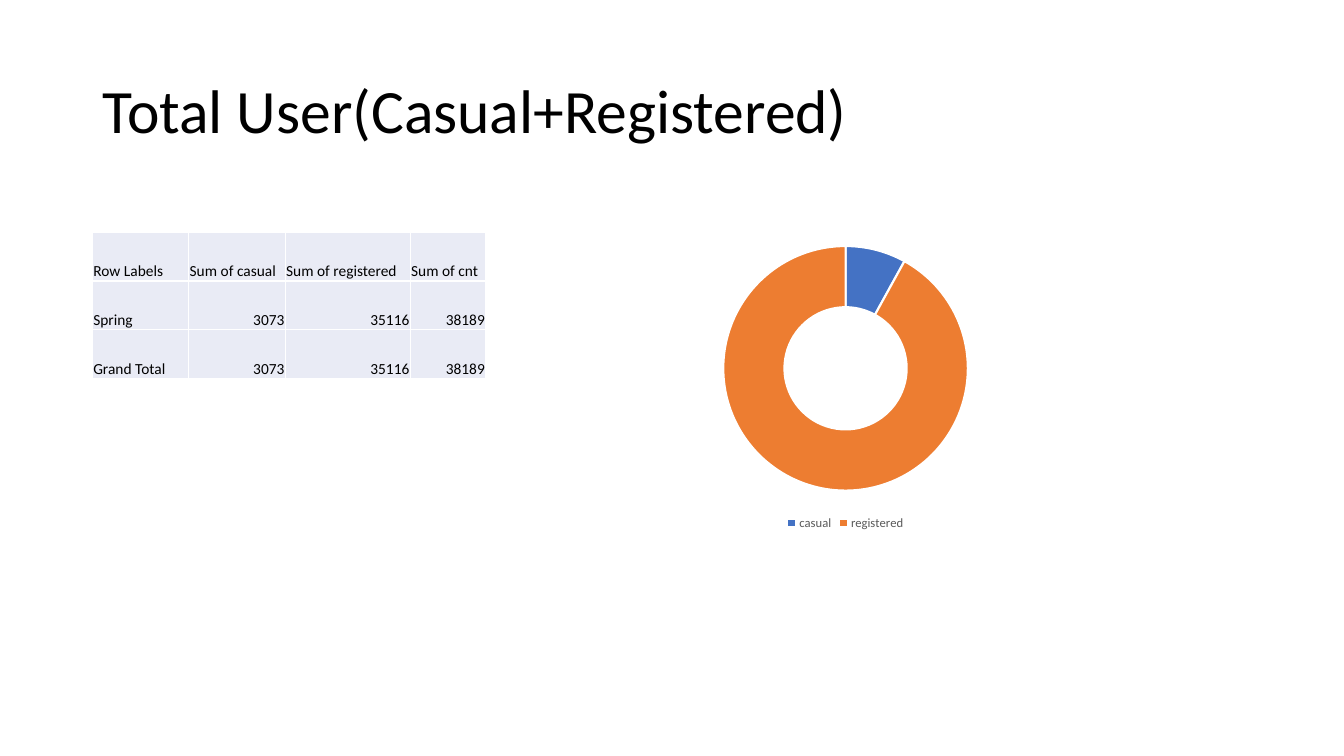
from dataclasses import dataclass

from lxml.etree import SubElement
from pptx import Presentation
from pptx.chart.data import CategoryChartData
from pptx.dml.color import RGBColor
from pptx.enum.chart import XL_CHART_TYPE, XL_LEGEND_POSITION
from pptx.enum.text import MSO_ANCHOR, PP_ALIGN
from pptx.oxml.ns import qn
from pptx.slide import Slide
from pptx.table import _Cell
from pptx.util import Cm, Pt

BLACK = RGBColor(0x00, 0x00, 0x00)
WHITE = RGBColor(0xFF, 0xFF, 0xFF)
GRAY = RGBColor(0x59, 0x59, 0x59)
PALE = RGBColor(0xE9, 0xEB, 0xF5)
BLUE = RGBColor(0x44, 0x72, 0xC4)
ORANGE = RGBColor(0xED, 0x7D, 0x31)
FONT = "Calibri"


@dataclass
class Slice:
    name: str
    share: int
    color: RGBColor


@dataclass
class Column:
    head: str
    width: float
    cells: tuple[str, ...]
    align: PP_ALIGN = PP_ALIGN.RIGHT


SLICES = [Slice("casual", 8, BLUE), Slice("registered", 92, ORANGE)]
COLUMNS = [
    Column("Row Labels", 2.43, ("Spring", "Grand Total"), PP_ALIGN.LEFT),
    Column("Sum of casual", 2.43, ("3073", "3073")),
    Column("Sum of registered", 3.15, ("35116", "35116")),
    Column("Sum of cnt", 1.9, ("38189", "38189")),
]


def set_font(font, size: float, color: RGBColor) -> None:
    font.name, font.size, font.bold = FONT, Pt(size), False
    font.color.rgb = color


def add_title(slide: Slide, text: str) -> None:
    title = slide.shapes.title
    title.left, title.top = Cm(2.33), Cm(1.01)
    title.width, title.height = Cm(29.21), Cm(3.68)
    title.text_frame.text = text
    title.text_frame.vertical_anchor = MSO_ANCHOR.MIDDLE
    line = title.text_frame.paragraphs[0]
    line.alignment, line.line_spacing = PP_ALIGN.LEFT, 0.9
    set_font(line.font, 44, BLACK)


def fill_cell(cell: _Cell, text: str, align: PP_ALIGN) -> None:
    cell.text = text
    cell.vertical_anchor = MSO_ANCHOR.BOTTOM
    cell.margin_left = cell.margin_right = cell.margin_top = Cm(0.02)
    cell.margin_bottom = 0
    line = cell.text_frame.paragraphs[0]
    line.alignment = align
    set_font(line.font, 11, BLACK)
    props = cell._tc.get_or_add_tcPr()
    for side in ("a:lnL", "a:lnR", "a:lnT", "a:lnB"):
        edge = SubElement(props, qn(side), w=str(Pt(1)))
        paint = SubElement(edge, qn("a:solidFill"))
        SubElement(paint, qn("a:srgbClr"), val=str(WHITE))
    cell.fill.solid()
    cell.fill.fore_color.rgb = PALE


def add_grid(slide: Slide, columns: list[Column]) -> None:
    rows = 1 + len(columns[0].cells)
    width = sum(col.width for col in columns)
    table = slide.shapes.add_table(
        rows, len(columns), Cm(2.33), Cm(5.85), Cm(width), Cm(1.23 * rows)
    ).table
    table.first_row = table.horz_banding = False
    for x, col in enumerate(columns):
        table.columns[x].width = Cm(col.width)
        fill_cell(table.cell(0, x), col.head, PP_ALIGN.LEFT)
        for y, text in enumerate(col.cells, 1):
            fill_cell(table.cell(y, x), text, col.align)


def add_ring(slide: Slide, slices: list[Slice]) -> None:
    data = CategoryChartData()
    data.categories = [part.name for part in slices]
    data.add_series("Series 1", [part.share for part in slices])
    chart = slide.shapes.add_chart(
        XL_CHART_TYPE.DOUGHNUT, Cm(14.96), Cm(5.85), Cm(12.7), Cm(7.62), data
    ).chart
    set_font(chart.font, 10, BLACK)
    chart.has_title = False
    chart.has_legend = True
    chart.legend.position = XL_LEGEND_POSITION.BOTTOM
    chart.legend.include_in_layout = False
    set_font(chart.legend.font, 9, GRAY)
    plot = chart.plots[0]
    plot.vary_by_categories = True
    plot._element.find(qn("c:holeSize")).set("val", "75")
    for i, part in enumerate(slices):
        style = plot.series[0].points[i].format
        style.fill.solid()
        style.fill.fore_color.rgb = part.color
        style.line.color.rgb = WHITE
        style.line.width = Pt(1.5)


def main() -> None:
    """Build the slide with its title, user table and ring chart."""
    deck = Presentation()
    deck.slide_width, deck.slide_height = Cm(33.87), Cm(19.05)
    slide = deck.slides.add_slide(deck.slide_layouts[5])
    add_title(slide, "Total User(Casual+Registered)")
    add_grid(slide, COLUMNS)
    add_ring(slide, SLICES)
    deck.save("out.pptx")


if __name__ == "__main__":
    main()
